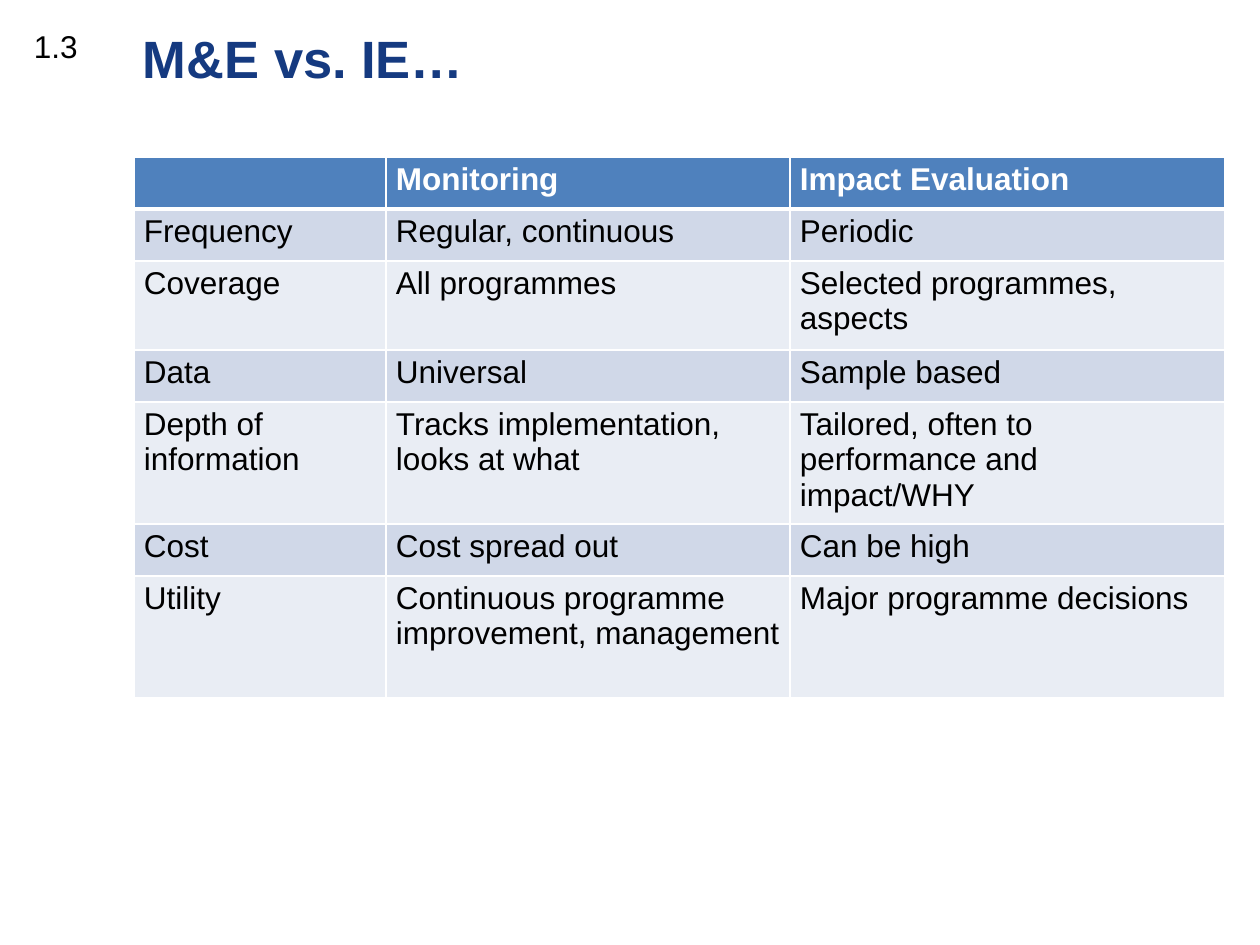
from dataclasses import dataclass

from lxml.etree import SubElement
from pptx import Presentation
from pptx.dml.color import RGBColor
from pptx.enum.text import MSO_ANCHOR
from pptx.oxml.ns import qn
from pptx.util import Emu, Pt

SLIDE_NUMBER = "1.3"
TITLE = "M&E vs. IE…"
ROWS = [
    ("", "Monitoring", "Impact Evaluation"),
    ("Frequency", "Regular, continuous", "Periodic"),
    ("Coverage", "All programmes", "Selected programmes, aspects"),
    ("Data", "Universal", "Sample based"),
    ("Depth of information", "Tracks implementation, looks at what",
     "Tailored, often to performance and impact/WHY"),
    ("Cost", "Cost spread out", "Can be high"),
    ("Utility", "Continuous programme improvement, management",
     "Major programme decisions"),
]
COLUMN_WIDTHS = [252, 404, 435]
ROW_HEIGHTS = [52, 52, 89, 52, 122, 52, 122]
LEFT, TABLE_TOP, TEXT_TOP = 134, 157, 21


@dataclass(frozen=True)
class Theme:
    font: str = "Arial"
    title_size: int = 30
    body_size: int = 18
    title: str = "153A80"
    text: str = "000000"
    white: str = "FFFFFF"
    header: str = "4F81BD"
    bands: tuple = ("D0D8E8", "E9EDF4")


THEME = Theme()


def px(length):
    return Emu(round(length * 914400 / 126))


def write(frame, text, *, size=THEME.body_size, color=THEME.text, bold=False,
          margins=(10, 5)):
    frame.word_wrap = True
    frame.margin_left = frame.margin_right = px(margins[0])
    frame.margin_top = frame.margin_bottom = px(margins[1])
    para = frame.paragraphs[0]
    para.font.size = Pt(size)
    if text:
        span = para.add_run()
        span.text = text
        font = span.font
        font.name, font.size, font.bold = THEME.font, Pt(size), bold
        font.color.rgb = RGBColor.from_string(color)


def add_text(page, text, left, top, width, height, **text_format):
    box = page.shapes.add_textbox(px(left), px(top), px(width), px(height))
    box.text_frame.vertical_anchor = MSO_ANCHOR.TOP
    write(box.text_frame, text, **text_format)


def set_borders(cell, **widths):
    """Draw white cell borders; widths maps L, R, T and B to points."""
    properties = cell._tc.get_or_add_tcPr()
    for side, width in widths.items():
        line = SubElement(properties, qn(f"a:ln{side}"), w=str(Pt(width)))
        fill = SubElement(line, qn("a:solidFill"))
        SubElement(fill, qn("a:srgbClr"), val=THEME.white)


def add_comparison(page):
    frame = page.shapes.add_table(
        len(ROWS), len(COLUMN_WIDTHS), px(LEFT), px(TABLE_TOP),
        px(sum(COLUMN_WIDTHS)), px(sum(ROW_HEIGHTS)))
    table = frame.table
    for column, width in zip(table.columns, COLUMN_WIDTHS):
        column.width = px(width)
    for index, (row, height, texts) in enumerate(
            zip(table.rows, ROW_HEIGHTS, ROWS)):
        row.height = px(height)
        is_header = index == 0
        fill = THEME.header if is_header else THEME.bands[(index - 1) % 2]
        for cell, text in zip(row.cells, texts):
            set_borders(cell, L=1, R=1, T=3 if index == 1 else 1,
                        B=3 if is_header else 1)
            cell.fill.solid()
            cell.fill.fore_color.rgb = RGBColor.from_string(fill)
            cell.margin_left = cell.margin_right = px(10)
            cell.margin_top = cell.margin_bottom = px(5)
            write(cell.text_frame, text, bold=is_header,
                  color=THEME.white if is_header else THEME.text)


def main():
    deck = Presentation()
    deck.slide_width, deck.slide_height = px(1260), px(945)
    page = deck.slides.add_slide(deck.slide_layouts[6])
    add_comparison(page)
    add_text(page, TITLE, LEFT, TEXT_TOP, sum(COLUMN_WIDTHS), 113,
             size=THEME.title_size, color=THEME.title, bold=True,
             margins=(9, 5))
    add_text(page, SLIDE_NUMBER, 21, TEXT_TOP, 82, 50, margins=(13, 6))
    deck.save("out.pptx")


if __name__ == "__main__":
    main()
